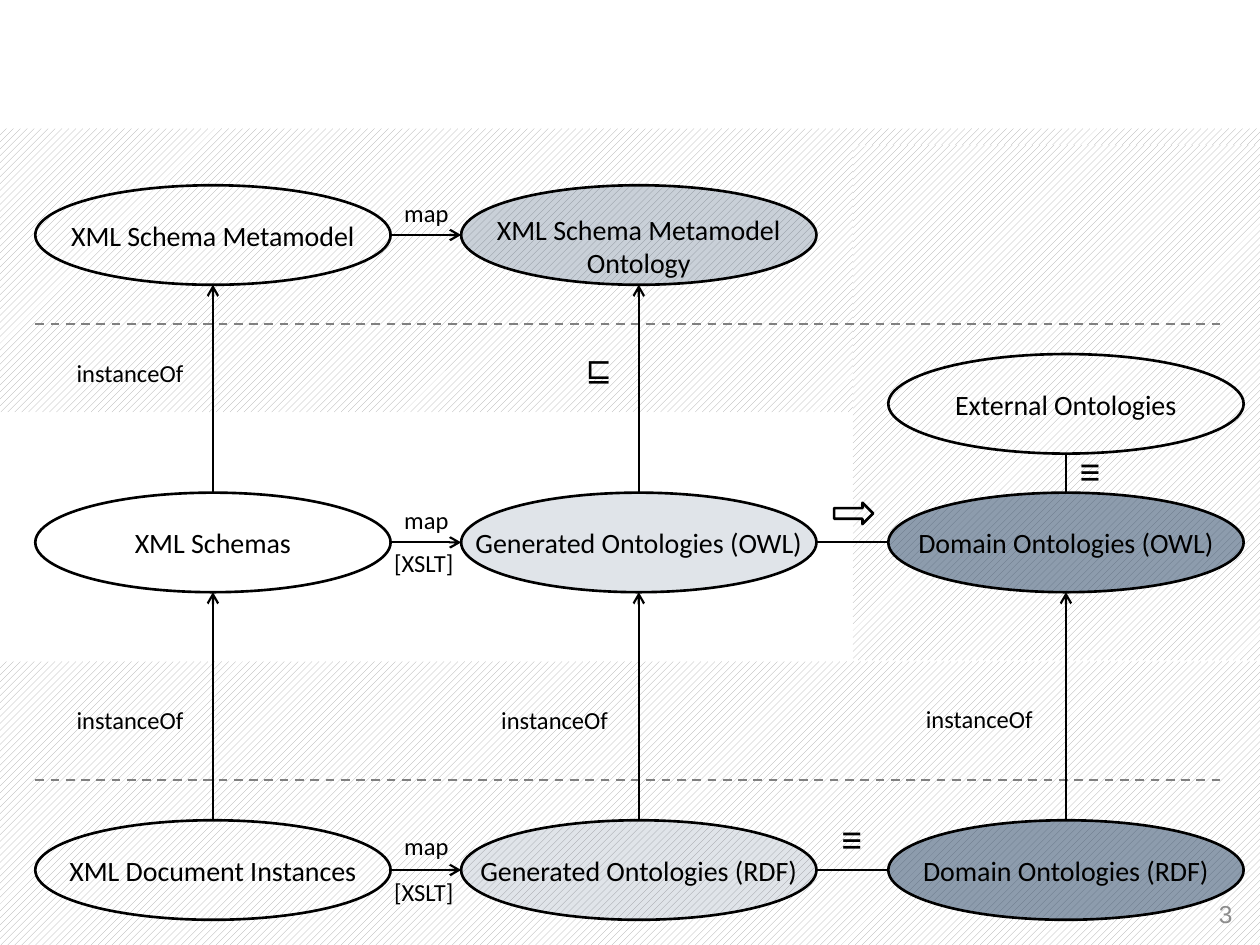
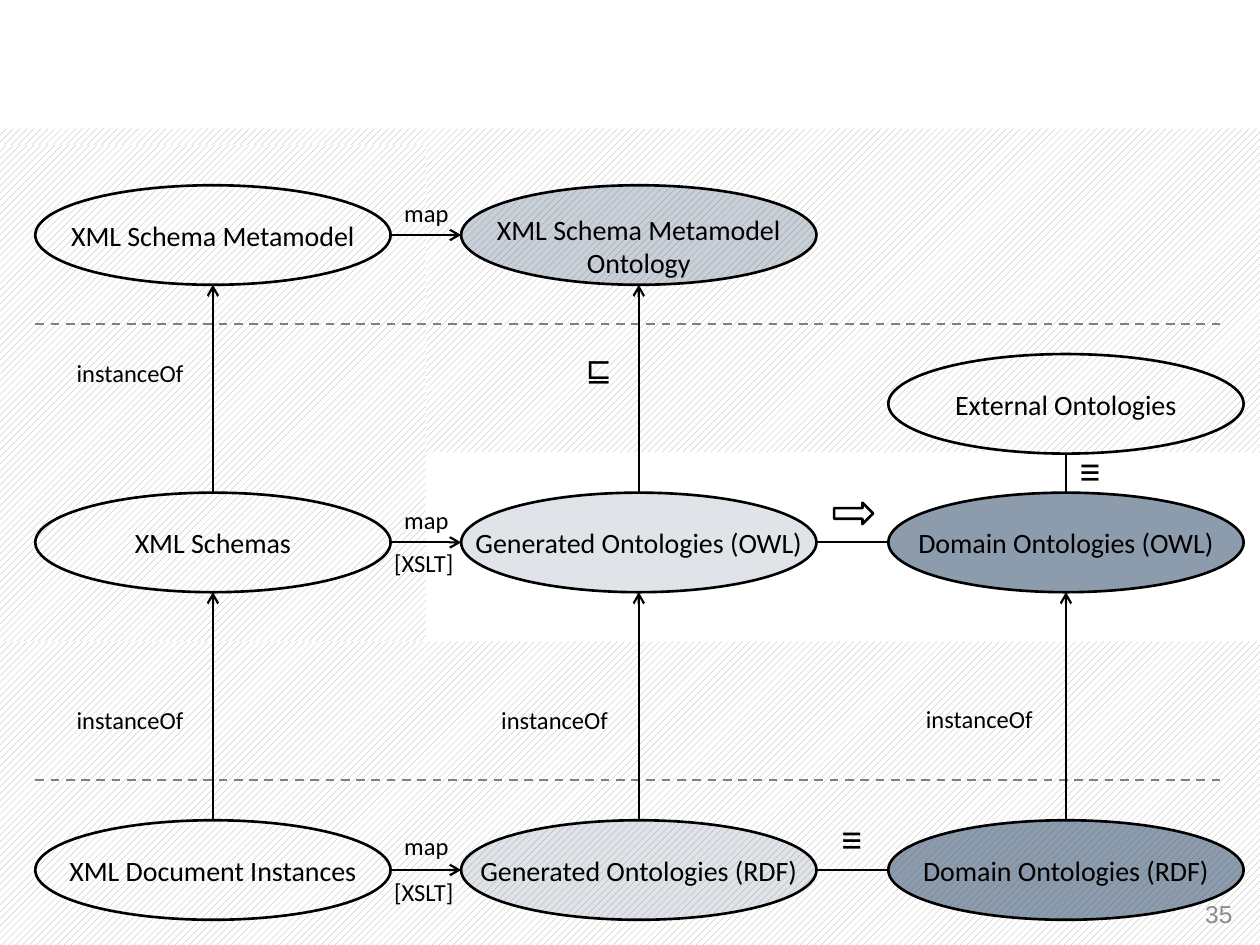
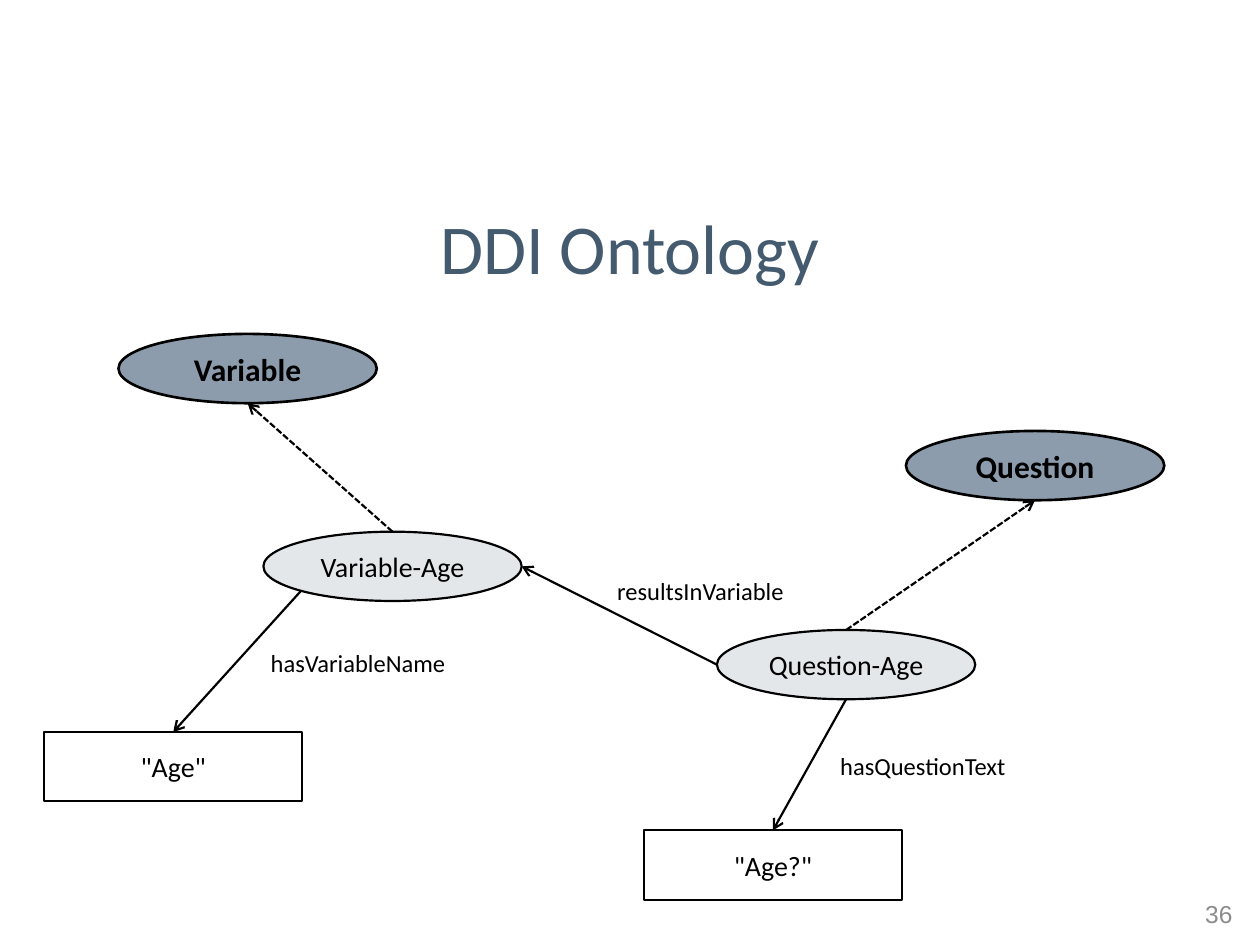
from lxml import etree
from pptx import Presentation
from pptx.dml.color import RGBColor
from pptx.enum.dml import MSO_LINE, MSO_PATTERN
from pptx.enum.shapes import MSO_CONNECTOR, MSO_SHAPE
from pptx.enum.text import MSO_ANCHOR, MSO_AUTO_SIZE, PP_ALIGN
from pptx.oxml.ns import qn
from pptx.util import Inches, Pt

ELLIPSE, RECTANGLE = MSO_SHAPE.OVAL, MSO_SHAPE.RECTANGLE
RIGHT_ARROW, STRAIGHT = MSO_SHAPE.RIGHT_ARROW, MSO_CONNECTOR.STRAIGHT
HATCH = MSO_PATTERN.WIDE_UPWARD_DIAGONAL
DASH, SHORT_DASH = MSO_LINE.DASH, MSO_LINE.SQUARE_DOT
ALIGN_LEFT, ALIGN_CENTER, ALIGN_RIGHT = PP_ALIGN.LEFT, PP_ALIGN.CENTER, PP_ALIGN.RIGHT
MIDDLE, GROW = MSO_ANCHOR.MIDDLE, MSO_AUTO_SIZE.SHAPE_TO_FIT_TEXT

BLACK, WHITE, GRAY = "000000", "FFFFFF", "808080"
HATCH_GRAY, NUMBER_GRAY = "A6A6A6", "8C8C8C"
NAVY, SLATE = "294465", "445A6F"
BODY_FONT, NUMBER_FONT = "Calibri", "Arial"

# Opacity in percent of each family of ontologies
GENERATED, METAMODEL, DOMAIN = 14, 25, 53

# Points on the outline of a node, as shares of its width and height
TOP, BOTTOM, LEFT, RIGHT = (0.5, 0), (0.5, 1), (0, 0.5), (1, 0.5)
LOWER_LEFT = (0.146, 0.854)

COLUMNS = (0.28, 3.66, 7.05)
META_ROW, EXTERNAL_ROW, SCHEMA_ROW, INSTANCE_ROW = 1.47, 2.81, 3.91, 6.51
GRID_NODE, GRAPH_NODE = (2.82, 0.79), (2.05, 0.55)

GRID_NODES = {
    "generated owl": ("Generated Ontologies (OWL)", 1, SCHEMA_ROW, GENERATED),
    "schemas": ("XML Schemas", 0, SCHEMA_ROW, 0),
    "external": ("External Ontologies", 2, EXTERNAL_ROW, 0),
    "domain owl": ("Domain Ontologies (OWL)", 2, SCHEMA_ROW, DOMAIN),
    "documents": ("XML Document Instances", 0, INSTANCE_ROW, 0),
    "generated rdf": ("Generated Ontologies (RDF)", 1, INSTANCE_ROW, GENERATED),
    "metamodel": ("XML Schema Metamodel", 0, META_ROW, 0),
    "meta ontology": ("XML Schema Metamodel\nOntology", 1, META_ROW, METAMODEL),
    "domain rdf": ("Domain Ontologies (RDF)", 2, INSTANCE_ROW, DOMAIN),
}
MAP_LINKS = (("metamodel", "meta ontology"), ("schemas", "generated owl"),
             ("documents", "generated rdf"))
UP_LINKS = (("schemas", "metamodel"), ("generated owl", "meta ontology"),
            ("documents", "schemas"), ("generated rdf", "generated owl"),
            ("domain rdf", "domain owl"))
SIDE_LINKS = (("generated owl", "domain owl"), ("generated rdf", "domain rdf"))
GRID_LABELS = (
    ("map", 3.11, 1.52, 0.56), ("map", 3.11, 3.96, 0.56), ("map", 3.11, 6.55, 0.56),
    ("[XSLT]", 3.03, 4.3, 0.67), ("[XSLT]", 3.03, 6.91, 0.67),
    ("instanceOf", 0.51, 2.79, 1.06), ("instanceOf", 0.51, 5.55, 1.06),
    ("instanceOf", 3.88, 5.55, 1.06), ("instanceOf", 7.25, 5.54, 1.06),
)
GRID_SYMBOLS = (("⊑", 4.55, 2.73, 18), ("≡", 8.47, 3.48, 24), ("≡", 6.58, 6.4, 24))

# Hatched areas leave the part under discussion white
SCHEMA_FOCUS = ((0, 1.02, 10.04, 2.25), (6.77, 1.15, 3.27, 4.09), (0, 5.25, 10.04, 2.25))
ONTOLOGY_FOCUS = ((0, 1.02, 10.04, 2.57), (0, 1.15, 3.38, 4.09), (0, 5.09, 10.04, 2.41))


def color(value):
    return RGBColor.from_string(value)


def apply(target, values):
    for name, value in values.items():
        setattr(target, name, value)


def write(shape, text, size, align=ALIGN_LEFT, ink=BLACK, font=BODY_FONT, bold=False):
    """Fill a shape with text, one paragraph a line."""
    shape.text_frame.text = text
    for para in shape.text_frame.paragraphs:
        para.alignment = align
        apply(para.font, {"name": font, "size": Pt(size), "bold": bold})
        para.font.color.rgb = color(ink)


def add_outline(slide, kind, left, top, width, height, line_width):
    shape = slide.shapes.add_shape(kind, *map(Inches, (left, top, width, height)))
    shape.shadow.inherit = False
    shape.fill.background()
    shape.line.color.rgb = color(BLACK)
    shape.line.width = Pt(line_width)
    return shape


def tint(shape, ink, opacity):
    shape.fill.solid()
    shape.fill.fore_color.rgb = color(ink)
    fill_color = shape._element.spPr.find(qn("a:solidFill"))[0]
    etree.SubElement(fill_color, qn("a:alpha"), val=str(opacity * 1000))


def add_node(slide, text, left, top, dimensions, kind=ELLIPSE, ink=NAVY, opacity=0,
             line_width=1.5, size=16, bold=False, top_inset=0):
    node = add_outline(slide, kind, left, top, *dimensions, line_width)
    if opacity:
        tint(node, ink, opacity)
    write(node, text, size, ALIGN_CENTER, bold=bold)
    apply(node.text_frame, {
        "margin_left": 0, "margin_right": 0, "margin_bottom": 0,
        "margin_top": Inches(top_inset), "vertical_anchor": MIDDLE, "word_wrap": False})
    return node


def add_line(slide, start, end, ink=BLACK, dash=None, arrow=False):
    """Draw a line between two points, with the arrowhead at its end."""
    line = slide.shapes.add_connector(STRAIGHT, *start, *end)
    line.line.color.rgb = color(ink)
    line.line.width = Pt(1.25)
    if dash:
        line.line.dash_style = dash
    properties = line._element.spPr
    if arrow:
        etree.SubElement(properties.find(qn("a:ln")), qn("a:tailEnd"), type="arrow")
    etree.SubElement(properties, qn("a:effectLst"))


def point_on(node, place):
    across, down = place
    return int(node.left + across * node.width), int(node.top + down * node.height)


def link(slide, start, start_place, end, end_place, arrow=True, dash=None):
    add_line(slide, point_on(start, start_place), point_on(end, end_place),
             dash=dash, arrow=arrow)


def add_label(slide, text, left, top, width, height=0.34, size=14):
    box = slide.shapes.add_textbox(*map(Inches, (left, top, width, height)))
    apply(box.text_frame, {"word_wrap": False, "auto_size": GROW})
    write(box, text, size)


def add_page_number(slide, number):
    box = slide.shapes.add_textbox(*map(Inches, (7.55, 7.05, 2.33, 0.4)))
    apply(box.text_frame, {"word_wrap": True, "vertical_anchor": MIDDLE})
    write(box, str(number), 14, ALIGN_RIGHT, NUMBER_GRAY, NUMBER_FONT)


def add_hatch(slide, area):
    band = slide.shapes.add_shape(RECTANGLE, *map(Inches, area))
    band.shadow.inherit = False
    band.line.fill.background()
    band.fill.patterned()
    band.fill.pattern = HATCH
    band.fill.fore_color.rgb = color(HATCH_GRAY)
    band.fill.back_color.rgb = color(WHITE)


def add_mapping_slide(deck, number, hatched_areas):
    slide = deck.slides.add_slide(deck.slide_layouts[6])
    for area in hatched_areas:
        add_hatch(slide, area)
    add_page_number(slide, number)
    for height in (2.57, 6.19):
        add_line(slide, (Inches(0.28), Inches(height)), (Inches(9.72), Inches(height)),
                 GRAY, DASH)

    nodes = {}
    for name, (text, column, top, opacity) in GRID_NODES.items():
        inset = 0.17 if "\n" in text else 0
        nodes[name] = add_node(slide, text, COLUMNS[column], top, GRID_NODE,
                               opacity=opacity, top_inset=inset)
    for start, end in MAP_LINKS:
        link(slide, nodes[start], RIGHT, nodes[end], LEFT)
    for start, end in UP_LINKS:
        link(slide, nodes[start], TOP, nodes[end], BOTTOM)
    for start, end in SIDE_LINKS:
        link(slide, nodes[start], RIGHT, nodes[end], LEFT, arrow=False)
    link(slide, nodes["external"], BOTTOM, nodes["domain owl"], TOP, arrow=False)

    for label in GRID_LABELS:
        add_label(slide, *label)
    for symbol, left, top, size in GRID_SYMBOLS:
        add_label(slide, symbol, left, top, 0.39, 0.4 if size == 18 else 0.5, size)
    add_outline(slide, RIGHT_ARROW, 6.62, 3.99, 0.31, 0.17, 1.5)


def add_ontology_slide(deck, number):
    slide = deck.slides.add_slide(deck.slide_layouts[5])
    title = slide.shapes.title
    apply(title, {"left": Inches(0.5), "top": Inches(1.33),
                  "width": Inches(9), "height": Inches(1.25)})
    title.text_frame.vertical_anchor = MIDDLE
    write(title, "DDI Ontology", 40, ALIGN_CENTER, SLATE)
    add_page_number(slide, number)

    concept = {"opacity": DOMAIN, "size": 18, "bold": True}
    individual = {"ink": SLATE, "opacity": GENERATED, "line_width": 1.25}
    literal = {"kind": RECTANGLE, "line_width": 1.25}
    variable = add_node(slide, "Variable", 0.94, 2.65, GRAPH_NODE, **concept)
    question = add_node(slide, "Question", 7.19, 3.42, GRAPH_NODE, **concept)
    variable_age = add_node(slide, "Variable-Age", 2.09, 4.22, GRAPH_NODE, **individual)
    question_age = add_node(slide, "Question-Age", 5.69, 5, GRAPH_NODE, **individual)
    name = add_node(slide, '"Age"', 0.35, 5.81, GRAPH_NODE, **literal)
    wording = add_node(slide, '"Age?"', 5.11, 6.59, GRAPH_NODE, **literal)

    link(slide, variable_age, TOP, variable, BOTTOM, dash=SHORT_DASH)
    link(slide, question_age, TOP, question, BOTTOM, dash=SHORT_DASH)
    link(slide, variable_age, LOWER_LEFT, name, TOP)
    link(slide, question_age, LEFT, variable_age, RIGHT)
    link(slide, question_age, BOTTOM, wording, TOP)

    add_label(slide, "hasQuestionText", 6.57, 5.91, 1.53)
    add_label(slide, "hasVariableName", 2.05, 5.09, 1.6)
    add_label(slide, "resultsInVariable", 4.8, 4.52, 1.54)


def main():
    deck = Presentation()
    apply(deck, {"slide_width": Inches(10), "slide_height": Inches(7.5)})
    add_mapping_slide(deck, 3, SCHEMA_FOCUS)
    add_mapping_slide(deck, 35, ONTOLOGY_FOCUS)
    add_ontology_slide(deck, 36)
    deck.save("out.pptx")


if __name__ == "__main__":
    main()
